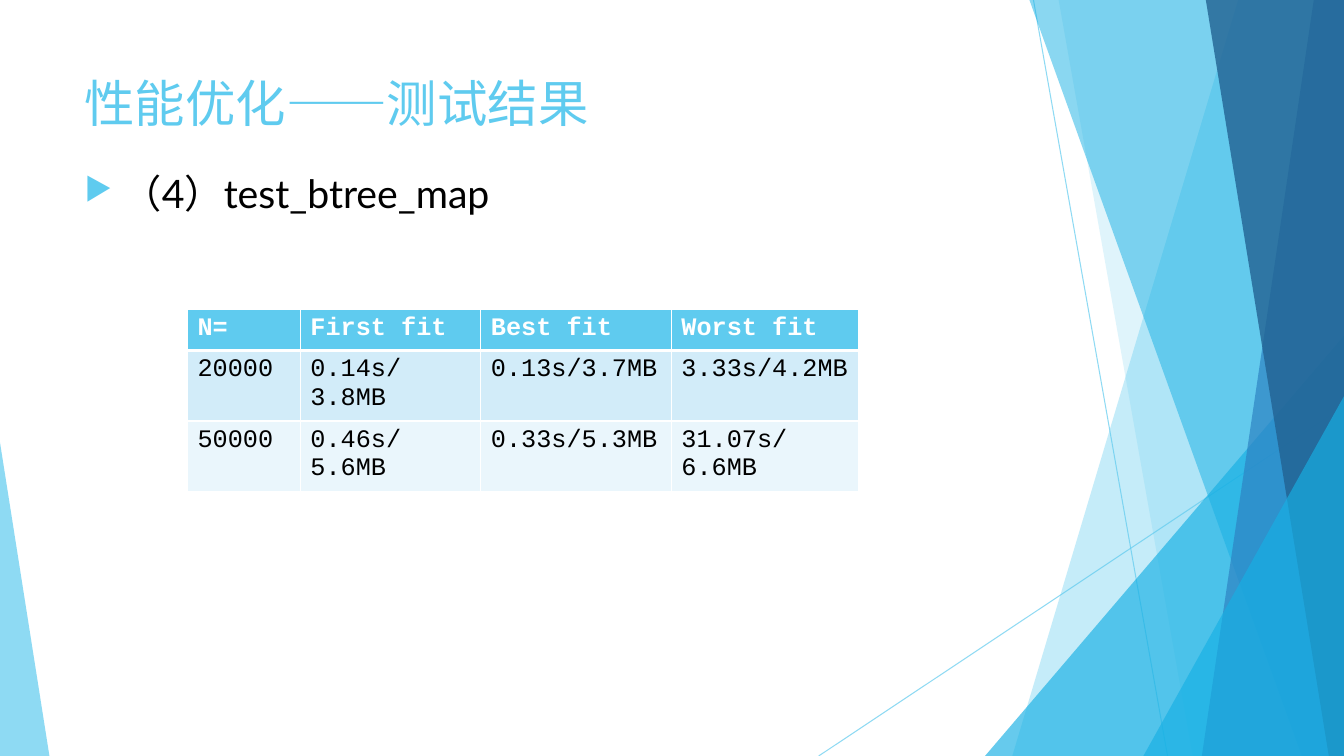
import pptx
import pptx.util
import pptx.dml.color
import pptx.enum.shapes
import pptx.enum.text
import pptx.oxml.ns
from lxml import etree

Inches = pptx.util.Inches
SKY, CYAN, BLUE, NAVY = "5FCBEF", "17B0E4", "2E83C3", "226292"
WHITE, BLACK = "FFFFFF", "000000"
MONO, SANS = "Courier New", "Lato"


def tint(code):
    """Turn a hex string into a colour."""
    return pptx.dml.color.RGBColor.from_string(code)


def node(base, tag, **attrs):
    """Add a drawing element under a base element."""
    return etree.SubElement(base, pptx.oxml.ns.qn("a:" + tag), **attrs)


def fade(part, share):
    """Make the solid colour in an element partly clear."""
    color = next(part.iter(pptx.oxml.ns.qn("a:srgbClr")))
    node(color, "alpha", val=str(share * 1000))


def paint(shape, color, share):
    """Fill a shape with a clear colour and drop its line and shadow."""
    shape.shadow.inherit = False
    shape.fill.solid()
    shape.fill.fore_color.rgb = tint(color)
    shape.line.fill.background()
    fade(shape._element.spPr, share)


def write(frame, text, size=18, font=MONO, color=BLACK, bold=False):
    """Write one formatted line into a text frame."""
    line = frame.paragraphs[0]
    run = line.add_run()
    run.text = text
    run.font.size = pptx.util.Pt(size)
    run.font.name = font
    run.font.bold = bold
    run.font.color.rgb = tint(color)
    return line


def label(slide, box, text, **style):
    """Add a wrapped text box with one line."""
    frame = slide.shapes.add_textbox(*map(Inches, box)).text_frame
    frame.word_wrap = True
    frame.vertical_anchor = pptx.enum.text.MSO_ANCHOR.TOP
    return write(frame, text, **style)


def wedge(slide, box, lean, color, share):
    """Add a triangle whose tip leans left (0) or right (1)."""
    kind = pptx.enum.shapes.MSO_SHAPE.ISOSCELES_TRIANGLE
    shape = slide.shapes.add_shape(kind, *map(Inches, box))
    shape.adjustments[0] = lean
    paint(shape, color, share)


def strip(slide, box, top, base, color, share):
    """Add a band from a slanted left edge to the right of the box."""
    x, y, w, h = box
    pen = slide.shapes.build_freeform(Inches(x + top), Inches(y))
    ends = [(x + w, y), (x + w, y + h), (x + base, y + h)]
    pen.add_line_segments([(Inches(a), Inches(b)) for a, b in ends])
    paint(pen.convert_to_shape(), color, share)


def ray(slide, *ends):
    """Add a thin clear line."""
    kind = pptx.enum.shapes.MSO_CONNECTOR.STRAIGHT
    line = slide.shapes.add_connector(kind, *map(Inches, ends))
    line.line.color.rgb = tint(SKY)
    line.line.width = pptx.util.Pt(0.75)
    props = line._element.spPr
    fade(props, 70)
    node(props, "effectLst")


def facets(slide, box):
    """Draw the layered facets on the right side."""
    x, y, w, h = box
    ray(slide, x + 2.13, y, x + 3.46, y + h)
    ray(slide, x + w, y + 4.03, x, y + h)
    strip(slide, box, 4.16, 1.92, SKY, 36)
    strip(slide, box, 2.38, 3.71, SKY, 20)
    wedge(slide, (x + 1.65, y + 3.33, w - 1.65, h - 3.33), 1, CYAN, 66)
    strip(slide, box, 2.09, 4.79, CYAN, 50)
    strip(slide, box, 4.91, 3.8, BLUE, 70)
    strip(slide, box, 3.84, 5.06, NAVY, 80)
    wedge(slide, (x + 3.22, y + 3.93, w - 3.22, h - 3.93), 1, CYAN, 66)


def heading(slide, box):
    """Write the title and the bulleted topic."""
    x, y, w, h = box
    label(slide, (x, y, w, 1.44), "性能优化——测试结果", size=36, color=SKY)
    topic = label(slide, (x, y + 0.96, w, h - 0.96), "（4）test_btree_map",
                  size=28, font=SANS)
    topic.space_before = pptx.util.Pt(10)
    props = topic._p.get_or_add_pPr()
    props.set("marL", str(Inches(0.38)))
    props.set("indent", str(Inches(-0.38)))
    node(node(props, "buClr"), "srgbClr", val=SKY)
    node(props, "buSzPct", val="80000")
    node(props, "buChar", char="▶")


def edge(cell, head):
    """Give a cell white borders, with a thick one under the head."""
    props = cell._tc.get_or_add_tcPr()
    for spot, side in enumerate("LRTB"):
        width = 3 if head and side == "B" else 1
        line = node(props, "ln" + side, w=str(pptx.util.Pt(width)))
        node(node(line, "solidFill"), "srgbClr", val=WHITE)
        props.insert(spot, line)


def results(slide, box):
    """Draw the table of test results."""
    rows = [("N=", "First fit", "Best fit", "Worst fit"),
            ("20000", "0.14s/3.8MB", "0.13s/3.7MB", "3.33s/4.2MB"),
            ("50000", "0.46s/5.6MB", "0.33s/5.3MB", "31.07s/6.6MB")]
    fills = [SKY, "D2ECF9", "EAF6FC"]
    table = slide.shapes.add_table(3, 4, *map(Inches, box)).table
    for col, width in zip(table.columns, (1.12, 1.79, 1.89, 1.86)):
        col.width = Inches(width)
    for r, row in enumerate(rows):
        head = r == 0
        for c, text in enumerate(row):
            cell = table.cell(r, c)
            cell.fill.solid()
            cell.fill.fore_color.rgb = tint(fills[r])
            write(cell.text_frame, text, bold=head,
                  color=WHITE if head else BLACK)
            edge(cell, head)


def main():
    """Build and save the slide."""
    deck = pptx.Presentation()
    deck.slide_width, deck.slide_height = Inches(13.33), Inches(7.5)
    slide = deck.slides.add_slide(deck.slide_layouts[6])
    facets(slide, (8.12, 0, 5.21, 7.5))
    wedge(slide, (0, 4.39, 0.49, 3.11), 0, SKY, 70)
    heading(slide, (0.74, 0.67, 9.4, 6.48))
    results(slide, (1.86, 3.07, 6.66, 1.22))
    deck.save("out.pptx")


if __name__ == "__main__":
    main()
